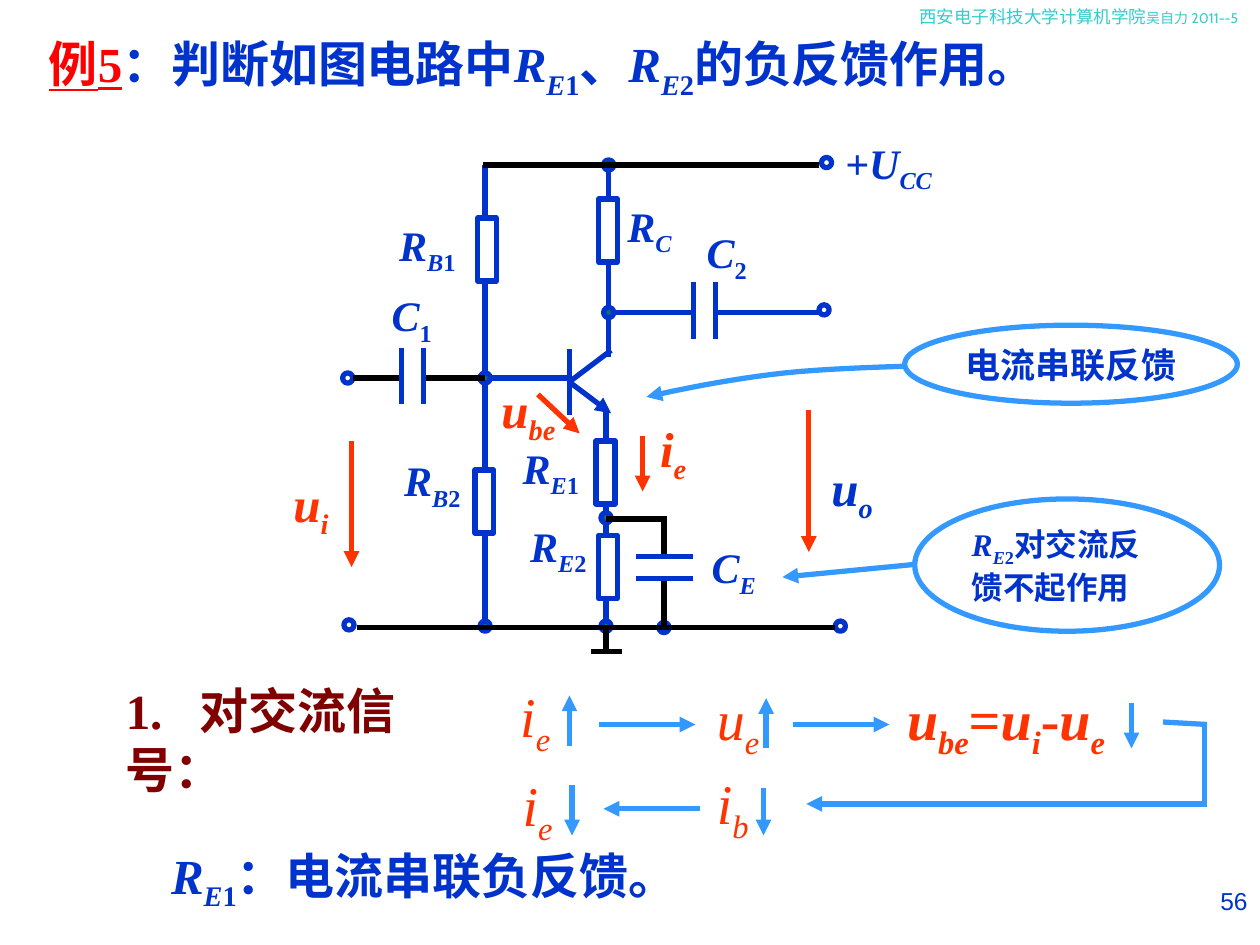
from pptx import Presentation
from pptx.util import Pt
from pptx.dml.color import RGBColor
from pptx.enum.shapes import MSO_CONNECTOR as Link, MSO_SHAPE as Kind
from pptx.enum.text import MSO_ANCHOR as Anchor, MSO_AUTO_SIZE as Fit, PP_ALIGN as Align
from pptx.oxml.ns import qn
from lxml.etree import SubElement as sub

hue = RGBColor.from_string
BLUE, SKY, RED, BLACK, WHITE = "0033CC", "3399FF", "FF3300", "000000", "FFFFFF"
SERIF = "Times New Roman"

deck = Presentation()
deck.slide_width, deck.slide_height = Pt(720), Pt(540)
slide = deck.slides.add_slide(deck.slide_layouts[6])
shapes = slide.shapes


def wire(x1, y1, x2, y2, color, end=None):
    line = shapes.add_connector(Link.STRAIGHT, Pt(x1), Pt(y1), Pt(x2), Pt(y2))
    line.line.width = Pt(3)
    line.line.color.rgb = hue(color)
    sub(line._element.spPr, qn("a:effectLst"))
    if end:
        sub(line.line._get_or_add_ln(), qn("a:tailEnd"), type=end)


def form(kind, x, y, w, h, fill=None, edge=BLUE):
    place = Pt(x), Pt(y), Pt(w), Pt(h)
    if kind is None:
        return shapes.add_textbox(*place)
    shape = shapes.add_shape(kind, *place)
    shape.shadow.inherit = False
    shape.line.width = Pt(3)
    shape.line.color.rgb = hue(edge)
    if fill:
        shape.fill.solid()
        shape.fill.fore_color.rgb = hue(fill)
    else:
        shape.fill.background()
    return shape


# Blue wires and transistor
for ends in [(325.4, 199.4, 325.4, 236.9), (325.4, 218.2, 349.2, 200.2),
             (277.2, 94.3, 277.2, 358.6), (325.4, 216, 277.2, 216),
             (346.3, 235.4, 346.3, 359.3), (347.8, 203.8, 347.8, 94.3),
             (346.3, 178.6, 468, 178.6)]:
    wire(*ends, BLUE)
wire(326.2, 218.9, 349.2, 236.2, BLUE, "triangle")

# Nodes, terminals and resistors
nodes = [(277.2, 357.8), (379.4, 358.6), (347.8, 178.6), (277.2, 216),
         (347.8, 94.3), (346.3, 295.9), (346.3, 357.8)]
ports = [(472.3, 92.9), (470.9, 177.1), (480.2, 357.8), (199.4, 357.1), (198.7, 216)]
for spots, fill in [(nodes, "007572"), (ports, None)]:
    for x, y in spots:
        form(Kind.OVAL, x - 2.9, y - 2.9, 5.8, 5.8, fill)
for x, y in [(272.9, 124.6), (342, 113.8), (271.4, 268.6), (340.6, 252), (342, 306)]:
    form(Kind.RECTANGLE, x, y, 10.8, 36, WHITE)

# Black wires and ground
for ends in [(203.8, 358.6, 477.4, 358.6), (277.2, 216, 201.6, 216),
             (275.8, 94.3, 468, 94.3), (346.3, 296.6, 380.9, 296.6),
             (379.4, 296.6, 379.4, 358.6), (346.3, 358.6, 346.3, 372.2),
             (337.7, 372.2, 355.7, 372.2)]:
    wire(*ends, BLACK)

# Capacitors: a white gap between two plates
for x, y, flat in [(402.5, 177.5, False), (235.8, 214.9, False), (379.8, 324.4, True)]:
    w, h = (14.75, 5.4) if flat else (5.4, 14.75)
    form(Kind.RECTANGLE, x - w, y - h, 2 * w, 2 * h, WHITE, WHITE)
    for gap in (-6.3, 6.3):
        if flat:
            wire(x - 16.2, y + gap, x + 16.2, y + gap, BLUE)
        else:
            wire(x + gap, y - 16.2, x + gap, y + 16.2, BLUE)

# Signal arrows
for ends in [(200.9, 252, 200.9, 324), (462.2, 234, 462.2, 315.4),
             (367.2, 249.1, 367.2, 280.8), (307.4, 225.4, 331.2, 247.7)]:
    wire(*ends, RED, "triangle")

# Feedback chain arrows
for ends in [(325.4, 426.2, 325.4, 397.4), (342, 414, 397.4, 414),
             (437.8, 427.7, 437.8, 398.9), (452.9, 414, 508.3, 414),
             (646.6, 401.8, 646.6, 427.7), (436.3, 450, 436.3, 477.4),
             (689.8, 459.4, 460.8, 459.4), (326.9, 448.6, 326.9, 477.4),
             (400.3, 462.2, 344.9, 462.2)]:
    wire(*ends, SKY, "triangle")
wire(664.6, 412.6, 689.8, 414, SKY)
wire(688.3, 414, 688.3, 460.8, SKY)

# Callout pointers: one curved, one straight
bends = [[(369.4, 226.8), (395.3, 221), (421.9, 216), (448.6, 213.1)],
         [(448.6, 213.1), (475.2, 210.2), (516.2, 209.5), (529.2, 208.8)]]
dots = []
for bend in bends:
    for step in range(1, 11):
        t = step / 10
        rates = (1 - t) ** 3, 3 * t * (1 - t) ** 2, 3 * t * t * (1 - t), t ** 3
        dots.append([Pt(sum(r * p[axis] for r, p in zip(rates, bend))) for axis in (0, 1)])
pen = shapes.build_freeform(Pt(369.4), Pt(226.8))
pen.add_line_segments(dots, close=False)
curve = pen.convert_to_shape()
curve.shadow.inherit = False
curve.fill.background()
curve.line.width = Pt(3)
curve.line.color.rgb = hue(SKY)
sub(curve.line._get_or_add_ln(), qn("a:headEnd"), type="triangle")
wire(522, 322.6, 447.1, 329.8, SKY, "triangle")

# Text runs; flags: i italic, s subscript, u red underlined, t tiny
RE1 = [("R", "i"), ("E", "is"), ("1", "s")]
RE2 = RE1[:2] + [("2", "s")]
IE = [("i", "i"), ("e", "is")]
UE = [("u", "i"), ("e", "is")]
UBE = [("u", "i"), ("be", "is")]
UI = [("u", "i"), ("i", "is")]
title = ([("例5", "u"), ("：判断如图电路中", "")] + RE1 + [("、", "")] + RE2
         + [("的负反馈作用。", "")])

# Each text: kind, x, y, w, h, size, colour, bold, wrap, runs
texts = [
    (None, 20.9, 15.8, 589.7, 79.2, 28, BLUE, True, True, title),
    (None, 475.9, 74.9, 94.3, 40.3, 24, BLUE, True, True, [("+U", "i"), ("CC", "is")]),
    (None, 468, 257.8, 73.4, 45.4, 28, BLUE, True, True, [("u", "i"), ("o", "is")]),
    (None, 160.6, 267.1, 73.4, 45.4, 28, RED, True, True, UI),
    (None, 279.4, 213.1, 73.4, 45.4, 28, RED, True, True, UBE),
    (None, 370.1, 235.4, 73.4, 45.4, 28, RED, True, True, IE),
    (Kind.OVAL, 517, 185.8, 190.1, 44.6, 20, BLUE, True, False, [("电流串联反馈", "")]),
    (Kind.OVAL, 522.7, 285.1, 174.2, 75.6, 18, BLUE, True, True,
     RE2 + [("对交流反馈不起作用", "")]),
    (None, 64.8, 385.2, 223.2, 41, 28, "800000", True, True, [("1.\t对交流信号：", "")]),
    (None, 290.2, 385.9, 31.7, 51.1, 32, RED, False, False, IE),
    (None, 402.5, 387.4, 40, 51.1, 32, RED, False, False, UE),
    (None, 511.2, 387.4, 154.8, 51.1, 32, RED, True, True,
     UBE + [("=", "")] + UI + [("-", "")] + UE),
    (None, 402.5, 435.6, 32.4, 51.1, 32, RED, False, False, [("i", "i"), ("b", "is")]),
    (None, 291.6, 437, 31.7, 51.1, 32, RED, False, False, IE),
    (None, 90.7, 479.5, 376.6, 45.4, 28, BLUE, True, True, RE1 + [("：电流串联负反馈。", "")]),
    (None, 518.4, 0, 201.6, 28.8, 10, "33CCCC", False, True,
     [("西安电子科技大学计算机学院", ""), ("吴自力 2011--5", "t")]),
    (None, 540, 502.6, 180, 37.4, 14, BLUE, False, True, [("56", "")]),
]
# Part labels
for x, y, runs in [(351.4, 110.9, [("R", "i"), ("C", "is")]),
                   (221, 121.7, [("R", "i"), ("B", "is"), ("1", "s")]),
                   (223.9, 256.3, [("R", "i"), ("B", "is"), ("2", "s")]),
                   (291.6, 249.1, RE1), (295.9, 293.8, RE2),
                   (399.6, 306, [("C", "i"), ("E", "is")]),
                   (396.7, 126, [("C", "i"), ("2", "s")]),
                   (216.7, 162, [("C", "i"), ("1", "s")])]:
    texts.append((None, x, y, 74.9, 40.3, 24, BLUE, True, True, runs))

fonts = {10: "Cabin", 14: "Arial"}
aligns = {14: Align.RIGHT, 20: Align.CENTER}
for kind, x, y, w, h, size, color, bold, wrap, runs in texts:
    frame = form(kind, x, y, w, h, WHITE, SKY).text_frame
    frame.word_wrap = wrap
    frame.vertical_anchor = Anchor.MIDDLE if kind else Anchor.TOP
    if not (wrap or kind):
        frame.auto_size = Fit.SHAPE_TO_FIT_TEXT
    para = frame.paragraphs[0]
    para.alignment = aligns.get(size, Align.LEFT)
    if "\t" in runs[0][0]:
        frame.margin_right = Pt(40)
        stops = sub(para._p.get_or_add_pPr(), qn("a:tabLst"))
        sub(stops, qn("a:tab"), pos=str(Pt(42)), algn="l")
    for words, flags in runs:
        run = para.add_run()
        run.text = words
        style = {"size": Pt(8 if "t" in flags else size), "bold": bold,
                 "name": fonts.get(size, SERIF), "italic": "i" in flags,
                 "underline": "u" in flags}
        for key, value in style.items():
            setattr(run.font, key, value)
        run.font.color.rgb = hue("FF0000" if "u" in flags else color)
        if "s" in flags:
            run._r.get_or_add_rPr().set("baseline", "-25000")

deck.save("out.pptx")
